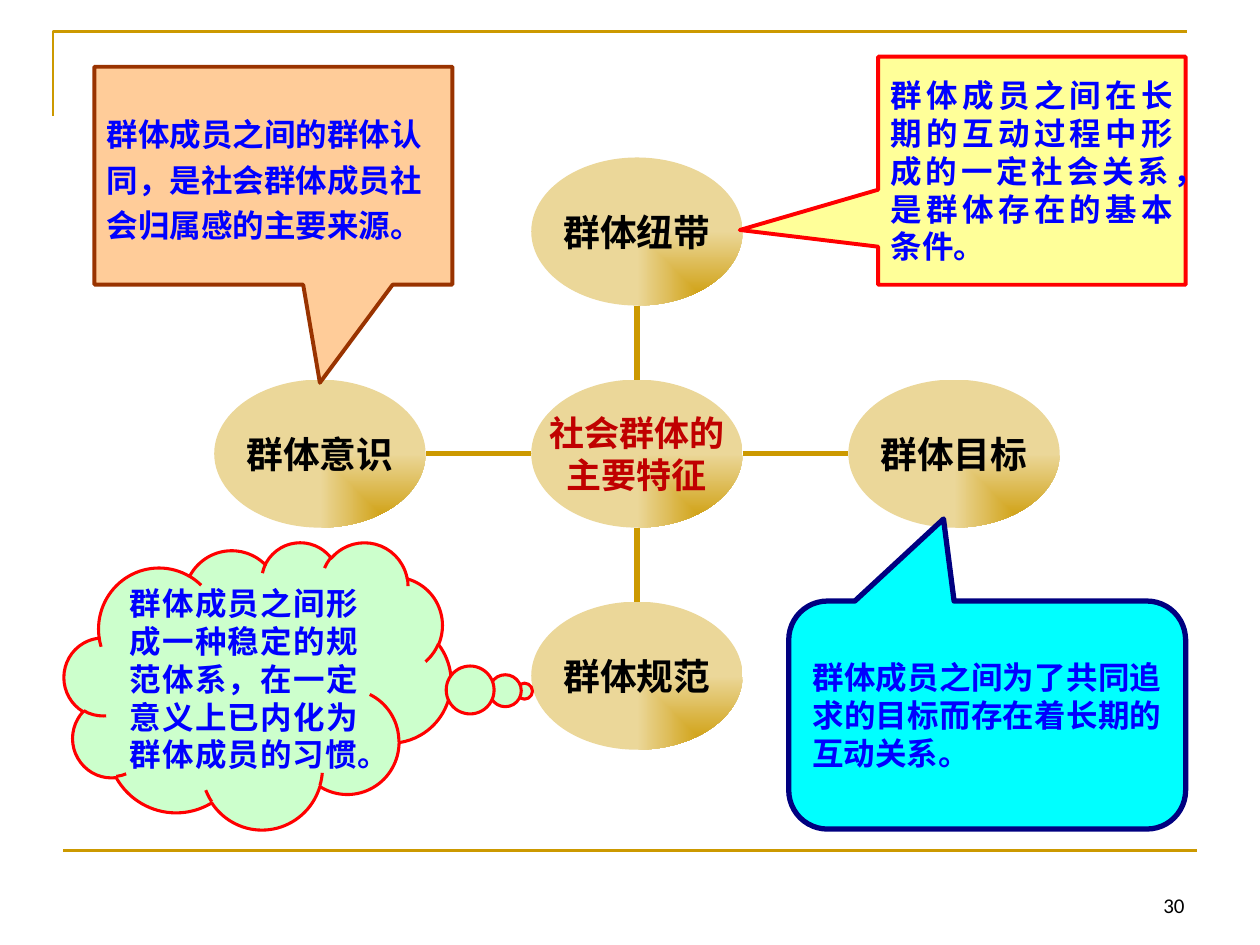
from lxml import etree
from pptx import Presentation
from pptx.dml.color import RGBColor
from pptx.enum.lang import MSO_LANGUAGE_ID
from pptx.enum.shapes import MSO_CONNECTOR, MSO_SHAPE
from pptx.enum.text import MSO_ANCHOR, PP_ALIGN
from pptx.oxml.ns import qn
from pptx.util import Inches, Pt

LEFT, CENTER = PP_ALIGN.LEFT, PP_ALIGN.CENTER
RIGHT, JUSTIFY = PP_ALIGN.RIGHT, PP_ALIGN.JUSTIFY
MIDDLE, BOTTOM = MSO_ANCHOR.MIDDLE, MSO_ANCHOR.BOTTOM
STRAIGHT, ELLIPSE = MSO_CONNECTOR.STRAIGHT, MSO_SHAPE.OVAL
RECTANGLE_CALLOUT = MSO_SHAPE.RECTANGULAR_CALLOUT
ROUNDED_CALLOUT = MSO_SHAPE.ROUNDED_RECTANGULAR_CALLOUT
CLOUD_CALLOUT = MSO_SHAPE.CLOUD_CALLOUT
CHINESE = MSO_LANGUAGE_ID.SIMPLIFIED_CHINESE
CJK_FONT = "Noto Sans CJK SC"
GOLD, PALE_GOLD = "CC9900", "EBD799"

CALLOUTS = [
    (RECTANGLE_CALLOUT, (6.97, 0.45, 2.44, 1.81), (-0.95, 0.26),
     "FFFF99", "FF0000", 2.25, {"align": JUSTIFY},
     "群体成员之间在长期的互动过程中形成的一定社会关系，是群体存在的基本条件。"),
    (RECTANGLE_CALLOUT, (0.75, 0.53, 2.84, 1.73), (0.13, 0.95),
     "FFCC99", "993300", 2.25, {"line_spacing": 1.2},
     "群体成员之间的群体认同，是社会群体成员社会归属感的主要来源。"),
    (ROUNDED_CALLOUT, (6.26, 4.77, 3.15, 1.81), (-0.11, -0.86, 0.17),
     "00FFFF", "000080", 3, {"align": JUSTIFY},
     "群体成员之间为了共同追求的目标而存在着长期的互动关系。"),
    (CLOUD_CALLOUT, (0.51, 4.3, 3.07, 2.28), (0.69, 0.02),
     "CCFFCC", "FF0000", 1.75, {"align": JUSTIFY},
     "群体成员之间形成一种稳定的规范体系，在一定意义上已内化为群体成员的习惯。"),
]


def color(value):
    """Turn a hex string into a colour."""
    return RGBColor.from_string(value)


def inches(*lengths):
    """Convert several lengths to inches."""
    return [Inches(length) for length in lengths]


def write_text(shape, text, size=18, font=CJK_FONT, fill="0000FF", bold=True,
               align=LEFT, anchor=MIDDLE, line_spacing=None, wrap=True, margin=None):
    """Write one paragraph per line of text into a shape."""
    frame = shape.text_frame
    frame.word_wrap = wrap
    frame.vertical_anchor = anchor
    if margin is not None:
        frame.margin_left = frame.margin_right = Inches(margin)
        frame.margin_top = frame.margin_bottom = Inches(margin)
    frame.text = text
    for paragraph in frame.paragraphs:
        paragraph.alignment = align
        paragraph.line_spacing = line_spacing
        for run in paragraph.runs:
            run.font.size = Pt(size)
            run.font.name = font
            run.font.bold = bold
            run.font.color.rgb = color(fill)
            run.font.language_id = CHINESE
            east_asian = etree.SubElement(run.font._element, qn("a:ea"))
            east_asian.set("typeface", CJK_FONT)


def add_line(slide, start, end, width):
    """Draw a gold line between two points."""
    line = slide.shapes.add_connector(STRAIGHT, *inches(*start, *end))
    line.line.color.rgb = color(GOLD)
    line.line.width = Pt(width)
    etree.SubElement(line._element.spPr, qn("a:effectLst"))


def add_frame(slide, left, top, width, height):
    """Draw the corner rule, the bottom rule and the page number."""
    builder = slide.shapes.build_freeform(*inches(left, top + 0.67))
    builder.add_line_segments([inches(left, top), inches(left + width, top)], close=False)
    corner = builder.convert_to_shape()
    corner.shadow.inherit = False
    corner.fill.background()
    corner.line.color.rgb = color(GOLD)
    corner.line.width = Pt(1.5)
    bottom = top + height
    add_line(slide, (0.5, bottom), (0.5 + width, bottom), 1.5)
    number = slide.shapes.add_textbox(*inches(7.17, bottom + 0.08, 2.33, 0.5))
    write_text(number, "30", size=12, font="Calibri", fill="000000", bold=False,
               align=RIGHT, anchor=BOTTOM)


def fill_corner_gradient(shape):
    """Shade a shape from pale gold to gold at its lower right corner."""
    shape.fill.gradient()
    for stop, value in zip(shape.fill.gradient_stops, (GOLD, PALE_GOLD)):
        stop.color.rgb = color(value)
    gradient = shape._element.spPr.find(qn("a:gradFill"))
    gradient.remove(gradient.find(qn("a:lin")))
    shade = etree.SubElement(gradient, qn("a:path"), {"path": "rect"})
    etree.SubElement(shade, qn("a:fillToRect"), {"l": "100000", "t": "100000"})


def add_node(slide, center, extent, text, **text_format):
    """Place a gradient ellipse around a center point."""
    (x, y), (width, height) = center, extent
    node = slide.shapes.add_shape(
        ELLIPSE, *inches(x - width / 2, y - height / 2, width, height))
    node.shadow.inherit = False
    node.line.fill.background()
    fill_corner_gradient(node)
    write_text(node, text, align=CENTER, wrap=False, margin=0, **text_format)


def add_hub(slide, left, top, width, height):
    """Draw the central topic with four linked features around it."""
    x, y = left + width / 2, top + height / 2
    node_width, node_height = extent = (width / 4, height / 4)
    features = [("群体意识", -1, 0), ("群体规范", 0, 1),
                ("群体目标", 1, 0), ("群体纽带", 0, -1)]
    for text, across, down in features:
        start = (x + across * node_width / 2, y + down * node_height / 2)
        end = (x + across * node_width, y + down * node_height)
        center = (x + across * node_width * 1.5, y + down * node_height * 1.5)
        add_line(slide, start, end, 3)
        add_node(slide, center, extent, text, size=21, font="Arial", fill="000000")
    add_node(slide, (x, y), extent, "社会群体的\n主要特征", size=20, fill="C00000")


def add_callout(slide, kind, box, adjustments, fill, outline, width, text_format, text):
    """Place a callout whose adjustments aim its pointer."""
    callout = slide.shapes.add_shape(kind, *inches(*box))
    callout.shadow.inherit = False
    for index, value in enumerate(adjustments):
        callout.adjustments[index] = value
    callout.fill.solid()
    callout.fill.fore_color.rgb = color(fill)
    callout.line.color.rgb = color(outline)
    callout.line.width = Pt(width)
    write_text(callout, text, **text_format)


def main():
    """Build and save the slide."""
    presentation = Presentation()
    presentation.slide_width, presentation.slide_height = inches(10, 7.5)
    slide = presentation.slides.add_slide(presentation.slide_layouts[6])
    add_frame(slide, 0.42, 0.25, 9, 6.5)
    add_hub(slide, 1.7, 1.25, 6.71, 4.7)
    for callout in CALLOUTS:
        add_callout(slide, *callout)
    presentation.save("out.pptx")


if __name__ == "__main__":
    main()
